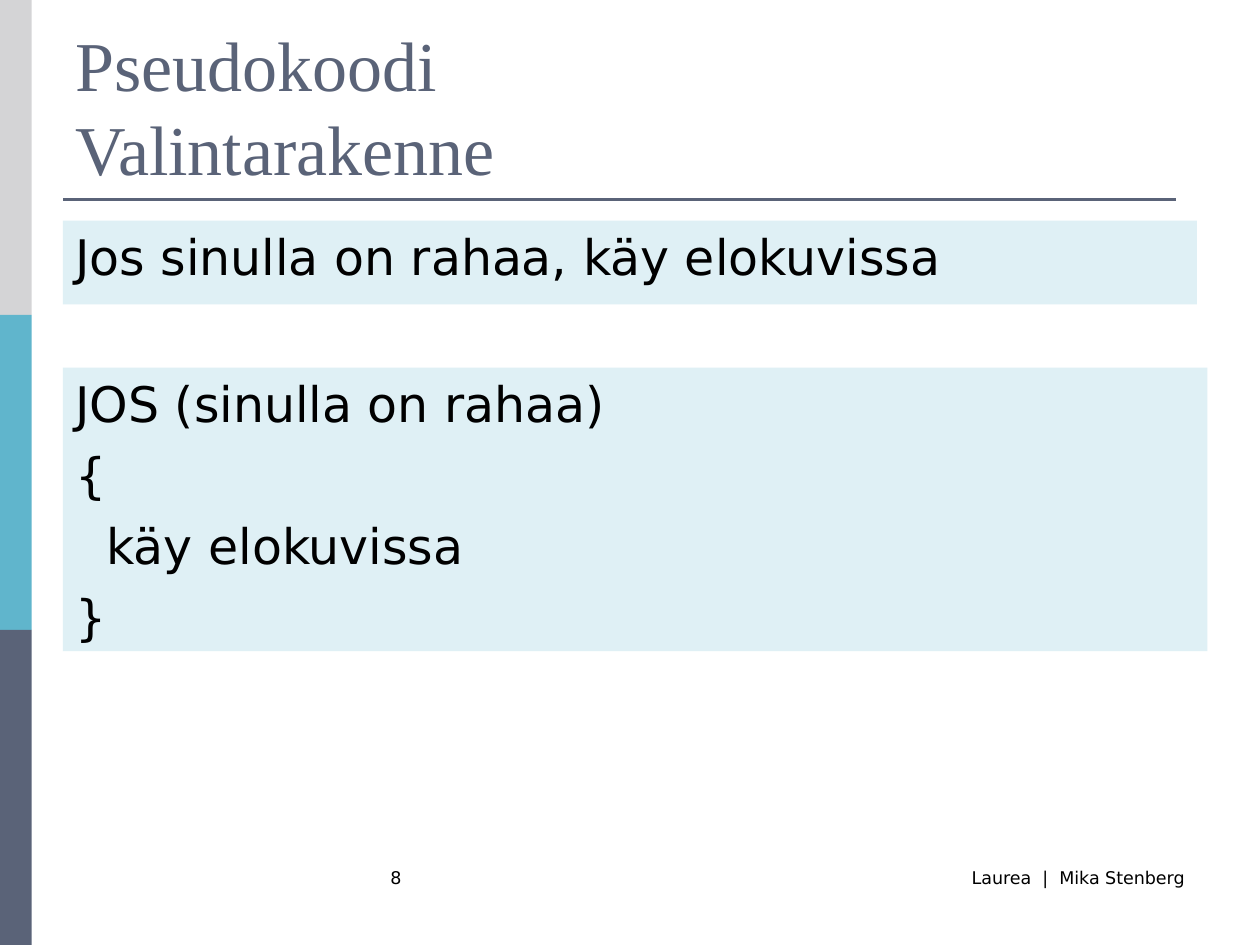
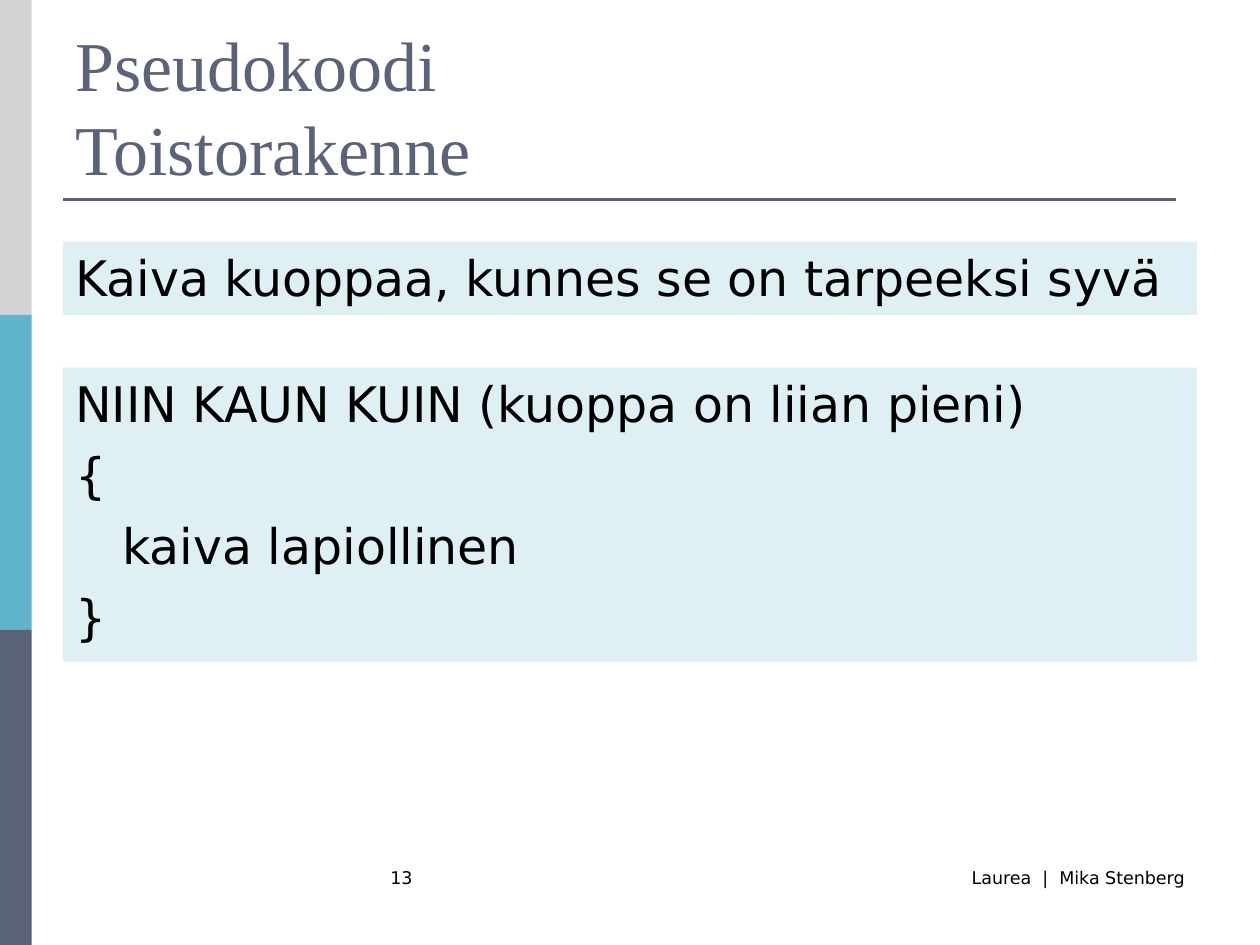
from dataclasses import dataclass

from lxml.etree import SubElement
from pptx import Presentation
from pptx.dml.color import RGBColor
from pptx.enum.shapes import MSO_CONNECTOR, MSO_SHAPE
from pptx.enum.text import MSO_ANCHOR, PP_ALIGN
from pptx.oxml.ns import qn
from pptx.slide import Slide
from pptx.util import Cm, Pt

BLACK = RGBColor(0x00, 0x00, 0x00)
SLATE = RGBColor(0x5A, 0x63, 0x78)
TEAL = RGBColor(0x60, 0xB5, 0xCC)
GREY = RGBColor(0xD4, 0xD4, 0xD6)
PALE_TEAL = RGBColor(0xDF, 0xF0, 0xF5)

TITLE_FONT = "Times New Roman"
BODY_FONT = "DejaVu Sans"
LINE_HEIGHT = 1.2
HANGING = Cm(0.95)
PAGE_WIDTH, PAGE_HEIGHT = 25.4, 19.05
MARGIN = 1.27
CONTENT_WIDTH = PAGE_WIDTH - 2 * MARGIN
FOOTER_TOP = 17.36


@dataclass(frozen=True)
class Area:
    """A rectangle in centimetres."""

    left: float
    top: float
    width: float
    height: float

    def lengths(self) -> tuple[Cm, Cm, Cm, Cm]:
        """Return the rectangle as slide lengths."""
        return Cm(self.left), Cm(self.top), Cm(self.width), Cm(self.height)


@dataclass(frozen=True)
class TextStyle:
    """The look of a block of text."""

    font: str
    size: float
    color: RGBColor
    align: PP_ALIGN = PP_ALIGN.LEFT
    anchor: MSO_ANCHOR = MSO_ANCHOR.TOP
    space_before: float = 0
    hanging: int = 0


@dataclass(frozen=True)
class Panel:
    """A tinted panel with lines of text."""

    area: Area
    text: str


@dataclass(frozen=True)
class Lesson:
    """The content of one slide."""

    title: str
    number: int
    panels: tuple[Panel, ...]


TITLE = TextStyle(TITLE_FONT, 40, SLATE, anchor=MSO_ANCHOR.BOTTOM)
BODY = TextStyle(BODY_FONT, 28, BLACK, space_before=7, hanging=HANGING)
NUMBER = TextStyle(BODY_FONT, 10, BLACK)
CREDIT = TextStyle(BODY_FONT, 10, BLACK, align=PP_ALIGN.RIGHT)

TITLE_AREA = Area(MARGIN, 0.76, CONTENT_WIDTH, 3.18)
NUMBER_AREA = Area(7.62, FOOTER_TOP, 11.01, 1.27)
CREDIT_AREA = Area(18.2, FOOTER_TOP, 5.93, 1.27)

LESSONS = (
    Lesson("Pseudokoodi\vValintarakenne", 8, (
        Panel(Area(MARGIN, 4.45, CONTENT_WIDTH, 1.69),
              "Jos sinulla on rahaa, käy elokuvissa"),
        Panel(Area(MARGIN, 7.41, 23.07, 5.72),
              "JOS (sinulla on rahaa)\n{\n  käy elokuvissa\n}"),
    )),
    Lesson("Pseudokoodi\vToistorakenne", 13, (
        Panel(Area(MARGIN, 4.87, CONTENT_WIDTH, 1.48),
              "Kaiva kuoppaa, kunnes se on tarpeeksi syvä"),
        Panel(Area(MARGIN, 7.41, CONTENT_WIDTH, 5.93),
              "NIIN KAUN KUIN (kuoppa on liian pieni)\n{\n\tkaiva lapiollinen\n}"),
    )),
)


def write(box, text: str, style: TextStyle) -> None:
    """Fill a box with styled text."""
    frame = box.text_frame
    frame.text = text
    frame.word_wrap = True
    frame.vertical_anchor = style.anchor
    for index, para in enumerate(frame.paragraphs):
        para.alignment = style.align
        para.line_spacing = Pt(style.size * LINE_HEIGHT)
        para.space_before = Pt(style.space_before if index else 0)
        if style.hanging:
            properties = para._p.get_or_add_pPr()
            properties.set("marL", str(style.hanging))
            properties.set("indent", str(-style.hanging))
        for span in para.runs:
            span.font.name = style.font
            span.font.size = Pt(style.size)
            span.font.color.rgb = style.color


def add_text(page: Slide, area: Area, text: str, style: TextStyle) -> None:
    """Add a text box."""
    write(page.shapes.add_textbox(*area.lengths()), text, style)


def add_block(page: Slide, area: Area, color: RGBColor):
    """Add a plain filled rectangle."""
    block = page.shapes.add_shape(MSO_SHAPE.RECTANGLE, *area.lengths())
    block.shadow.inherit = False
    block.fill.solid()
    block.fill.fore_color.rgb = color
    block.line.fill.background()
    return block


def add_frame(page: Slide) -> None:
    """Add the side bands and the title rule."""
    band_height = PAGE_HEIGHT / 3
    for index, color in enumerate((GREY, TEAL, SLATE)):
        add_block(page, Area(0, index * band_height, 0.64, band_height), color)
    rule = page.shapes.add_connector(
        MSO_CONNECTOR.STRAIGHT, Cm(MARGIN), Cm(4.02), Cm(23.71), Cm(4.02))
    rule.line.color.rgb = SLATE
    rule.line.width = Pt(1.5)
    SubElement(rule._element.spPr, qn("a:effectLst"))


def add_lesson(deck, lesson: Lesson) -> None:
    """Add one slide."""
    page = deck.slides.add_slide(deck.slide_layouts[6])
    add_frame(page)
    add_text(page, CREDIT_AREA, "Laurea  |  Mika Stenberg", CREDIT)
    add_text(page, NUMBER_AREA, str(lesson.number), NUMBER)
    add_text(page, TITLE_AREA, lesson.title, TITLE)
    for panel in lesson.panels:
        write(add_block(page, panel.area, PALE_TEAL), panel.text, BODY)


def main() -> None:
    """Build and save the deck."""
    deck = Presentation()
    deck.slide_width = Cm(PAGE_WIDTH)
    deck.slide_height = Cm(PAGE_HEIGHT)
    for lesson in LESSONS:
        add_lesson(deck, lesson)
    deck.save("out.pptx")


if __name__ == "__main__":
    main()
